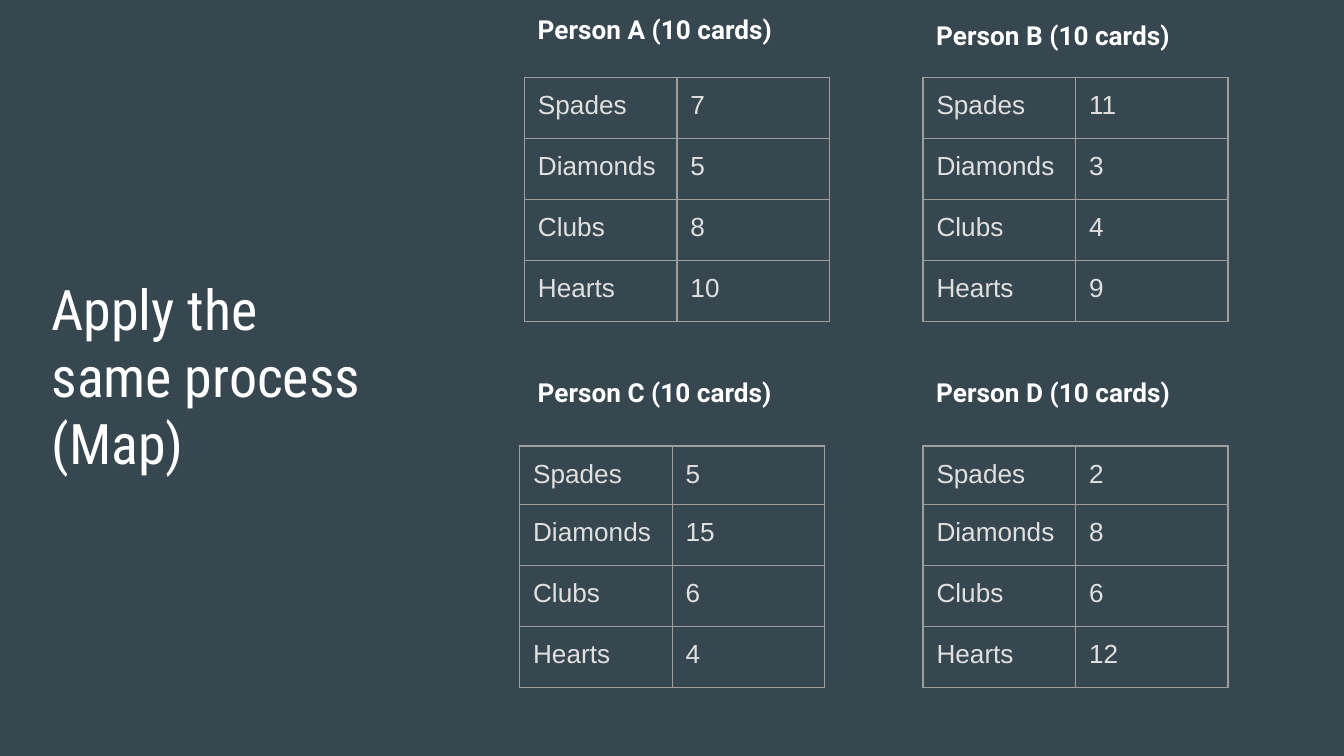
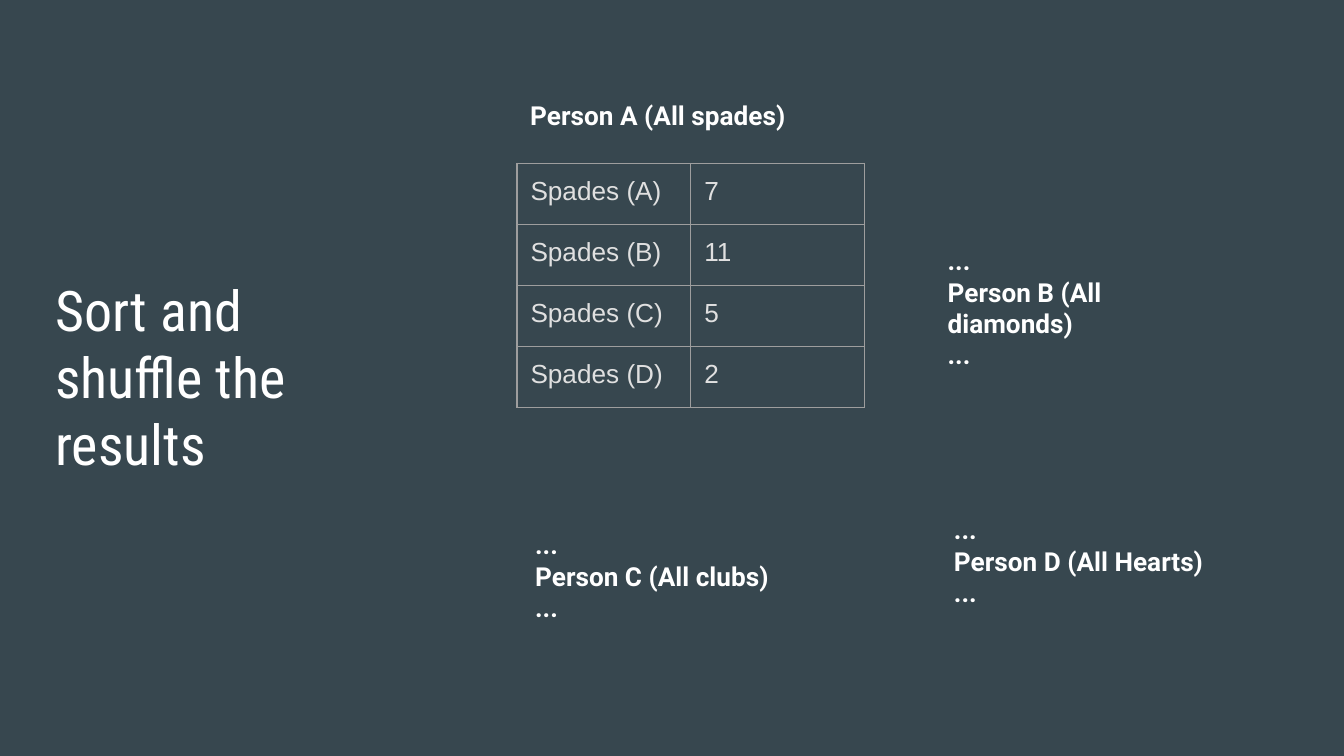
from pptx import Presentation
from pptx.dml.color import RGBColor
from pptx.enum.text import MSO_ANCHOR, MSO_AUTO_SIZE, PP_ALIGN
from pptx.oxml import parse_xml
from pptx.oxml.ns import nsdecls
from pptx.util import Pt

SLATE = RGBColor(0x37, 0x47, 0x4F)
WHITE = RGBColor(0xFF, 0xFF, 0xFF)
PALE = RGBColor(0xE0, 0xE0, 0xE0)
GRID = RGBColor(0x9E, 0x9E, 0x9E)

HEADLINE = {"name": "Roboto Condensed", "size": Pt(30), "bold": False}
LABEL = {"name": "Roboto", "size": Pt(14), "bold": True}
CELL = {"name": "Arial", "size": Pt(14), "bold": False}
INSET = Pt(7.2)
FRAME = {
    "margin_left": INSET,
    "margin_top": INSET,
    "margin_right": INSET,
    "margin_bottom": INSET,
    "vertical_anchor": MSO_ANCHOR.TOP,
}
ROW = 32.68
SUITS = ["Spades", "Diamonds", "Clubs", "Hearts"]


def assign(target, values):
    for key, value in values.items():
        setattr(target, key, value)


class CardDeck:
    def __init__(self):
        self.prs = Presentation()
        self.prs.slide_width, self.prs.slide_height = Pt(720), Pt(405)
        backdrop = self.prs.slide_master.background.fill
        backdrop.solid()
        backdrop.fore_color.rgb = SLATE
        self.slide = None

    def fill_text(self, frame, text, font, color):
        frame.text = text
        for paragraph in frame.paragraphs:
            paragraph.alignment = PP_ALIGN.LEFT
            assign(paragraph.font, font)
            paragraph.font.color.rgb = color

    def title(self, text, left, top):
        self.slide = self.prs.slides.add_slide(self.prs.slide_layouts[5])
        headline = self.slide.shapes.title
        assign(headline, {"left": Pt(left), "top": Pt(top), "width": Pt(190), "height": Pt(106)})
        frame = headline.text_frame
        assign(frame, FRAME | {"word_wrap": True, "auto_size": MSO_AUTO_SIZE.NONE})
        self.fill_text(frame, text, HEADLINE, WHITE)

    def label(self, text, left, top, width=141, height=34.5):
        box = self.slide.shapes.add_textbox(Pt(left), Pt(top), Pt(width), Pt(height))
        assign(box.text_frame, FRAME | {"word_wrap": True})
        self.fill_text(box.text_frame, text, LABEL, WHITE)

    def borders(self, cell):
        properties = cell._tc.get_or_add_tcPr()
        for position, side in enumerate(("lnL", "lnR", "lnT", "lnB")):
            properties.insert(position, parse_xml(
                f'<a:{side} {nsdecls("a")} w="{Pt(0.75)}"><a:solidFill>'
                f'<a:srgbClr val="{GRID}"/></a:solidFill></a:{side}>'))

    def counts(self, names, values, left, top, column=81.7, first_row=ROW):
        heights = [first_row] + [ROW] * (len(names) - 1)
        table = self.slide.shapes.add_table(
            len(names), 2, Pt(left), Pt(top), Pt(2 * column), Pt(sum(heights))).table
        assign(table, {"first_row": False, "horz_banding": False})
        for grid_column in table.columns:
            grid_column.width = Pt(column)
        for row, height, pair in zip(table.rows, heights, zip(names, values)):
            row.height = Pt(height)
            for cell, content in zip(row.cells, pair):
                assign(cell, FRAME)
                self.fill_text(cell.text_frame, str(content), CELL, PALE)
                cell.fill.background()
                self.borders(cell)


def main():
    deck = CardDeck()

    deck.title("Apply the same process (Map)", 20.4, 139.7)
    upper, lower, near, far = 41.5, 239, 281, 494.5
    hands = [
        ("A", [7, 5, 8, 10], near, 0, near, upper, ROW),
        ("B", [11, 3, 4, 9], far, 3.4, far, upper, ROW),
        ("C", [5, 15, 6, 4], near, 194.5, 278.4, lower, 12),
        ("D", [2, 8, 6, 12], far, 194.5, far, lower, 6),
    ]
    for person, values, label_left, label_top, left, top, first_row in hands:
        deck.counts(SUITS, values, left, top, first_row=first_row)
        deck.label(f"Person {person} (10 cards)", label_left, label_top)

    deck.title("Sort and shuffle the results", 22.5, 140.4)
    sources = [f"Spades ({person})" for person in "ABCD"]
    deck.counts(sources, [7, 11, 5, 2], 277, 87.6, column=93.1)
    deck.label("Person A (All spades)", 277, 46, width=160.5)
    piles = [("B", "diamonds", 500.6, 123.8), ("C", "clubs", 279.6, 276), ("D", "Hearts", 504, 268)]
    for person, suit, left, top in piles:
        deck.label(f"...\nPerson {person} (All {suit})\n...", left, top, 166, 58.3)

    deck.prs.save("out.pptx")


if __name__ == "__main__":
    main()
